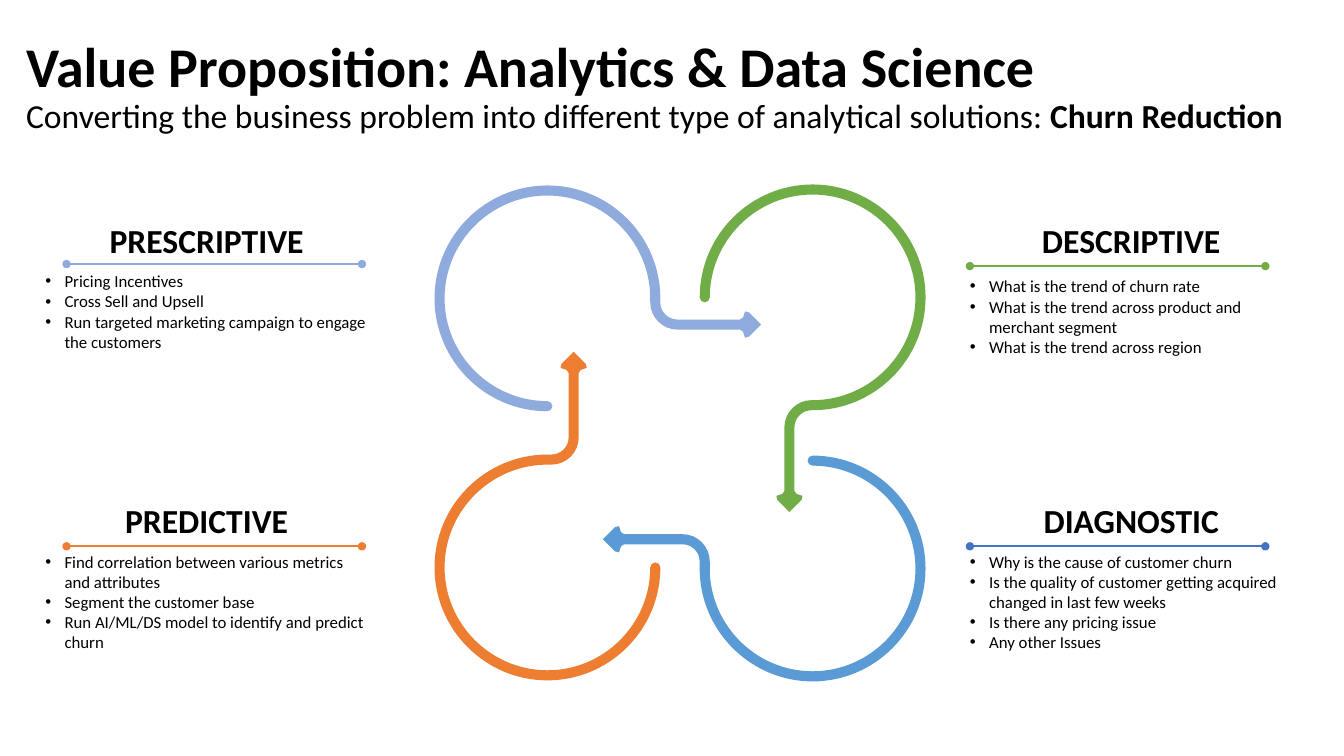
from itertools import chain, islice
from math import cos, sin, radians
from pptx import Presentation
from pptx.dml.color import RGBColor as Rgb
from pptx.enum.shapes import MSO_CONNECTOR as Link
from pptx.enum.text import MSO_ANCHOR as Anchor, PP_ALIGN as Align
from pptx.oxml.ns import qn
from pptx.util import Inches, Pt
from lxml.etree import SubElement as Sub

CELL = Inches(1)
COLS, ROWS = 13.33, 7.5
RING, HALF, BEND, PULL = 1.07, 0.05, 0.22, 0.55
HEAD = [(0.21, 0.05), (0.18, 0.07), (0.16, 0.13), (0.12, 0.12), (0.02, 0.02)]
PANELS = [
    ((0.45, 2.13, 3.2), 0.21, 0.49, 0.51, 3.2, "8FAADC", "PRESCRIPTIVE",
     ["Pricing Incentives", "Cross Sell and Upsell",
      "Run targeted marketing campaign to engage the customers"]),
    ((9.62, 2.13, 3.2), 0, 0.51, 0.56, 2.93, "70AD47", "DESCRIPTIVE",
     ["What is the trend of churn rate",
      "What is the trend across product and merchant segment",
      "What is the trend across region"]),
    ((0.45, 4.91, 3.2), 0.21, 0.51, 0.51, 3.2, "ED7D31", "PREDICTIVE",
     ["Find correlation between various metrics and attributes",
      "Segment the customer base",
      "Run AI/ML/DS model to identify and predict churn"]),
    ((9.62, 4.91, 3.2), 0, 0.51, 0.51, 3.07, "4472C4", "DIAGNOSTIC",
     ["Why is the cause of customer churn",
      "Is the quality of customer getting acquired changed in last few weeks",
      "Is there any pricing issue", "Any other Issues"]),
]
LOOPS = [
    ((8.06, 5.64), 2, 2.08, 0.29, "5B9BD5"),
    ((8.06, 2.95), 1, 2.13, 0.23, "70AD47"),
    ((5.43, 2.96), 0, 2.12, 0.26, "8FAADC"),
    ((5.43, 5.63), 3, 2.14, 0.26, "ED7D31"),
]


def color(code):
    """Turn a hex string into a colour."""
    return Rgb.from_string(code)


def grid(*vals):
    """Turn grid cells into slide lengths."""
    return [round(val * CELL) for val in vals]


def style(item, **vals):
    """Set each given value on an item."""
    for name, val in vals.items():
        setattr(item, name, val)


def write(para, text, size, bold=False):
    """Add one run of black text."""
    run = para.add_run()
    run.text = text
    style(run.font, name="Calibri", size=Pt(size), bold=bold)
    run.font.color.rgb = color("000000")


def frame(slide, box, side, anchor):
    """Add a wrapping text box and return its frame."""
    area = slide.shapes.add_textbox(*grid(*box)).text_frame
    style(area, word_wrap=True, vertical_anchor=anchor,
          margin_left=Inches(side), margin_right=Inches(side))
    return area


def title(slide, box):
    """Place the title with its subtitle line."""
    para = frame(slide, box, 0.1, Anchor.MIDDLE).paragraphs[0]
    para.line_spacing = 0.9
    write(para, "Value Proposition: Analytics & Data Science", 40, True)
    para.add_line_break()
    write(para, "Converting the business problem into different type of "
          "analytical solutions: ", 24)
    write(para, "Churn Reduction", 24, True)


def rule(slide, left, top, wide, code):
    """Draw a level line with a dot at both ends."""
    line = slide.shapes.add_connector(
        Link.STRAIGHT, *grid(left, top, left + wide, top))
    line.line.width = Pt(1.25)
    line.line.color.rgb = color(code)
    props = line._element.spPr
    for end in ("a:headEnd", "a:tailEnd"):
        Sub(props.find(qn("a:ln")), qn(end), type="oval")
    Sub(props, qn("a:effectLst"))


def panel(slide, box, inset, bar, drop, wide, code, name, items):
    """Place a heading, its rule and its bullets in a box."""
    left, top, span = box
    para = frame(slide, (left, top, span, 0.5), 0, Anchor.BOTTOM).paragraphs[0]
    para.alignment = Align.CENTER
    write(para, name, 24, True)
    area = frame(slide, (left, top + drop, wide, 0.1 + 0.2 * (len(items) + 1)),
                 0, Anchor.TOP)
    for num, item in enumerate(items):
        para = area.add_paragraph() if num else area.paragraphs[0]
        props = para._p.get_or_add_pPr()
        for key, val in {"marL": 0.19, "indent": -0.19}.items():
            props.set(key, str(Inches(val)))
        Sub(props, qn("a:buFont"), typeface="Arial")
        Sub(props, qn("a:buChar"), char="•")
        write(para, item, 12)
    rule(slide, left + inset, top + bar, 2.93, code)


def arc(mid, size, start, stop):
    """List an arc as its first point and one curve a quarter."""
    def spot(angle, pull=0):
        turn = radians(angle)
        return (mid[0] + size * (cos(turn) - pull * sin(turn)),
                mid[1] + size * (sin(turn) + pull * cos(turn)))

    sign = 1 if stop > start else -1
    return [[spot(start)]] + [
        [spot(a, sign * PULL), spot(a + 90 * sign, -sign * PULL),
         spot(a + 90 * sign)] for a in range(start, stop, 90 * sign)]


def outline(reach, drop):
    """List the parts of a ring arrow around the origin."""
    bend = (RING + BEND, drop - BEND)
    return [
        *arc((0, RING), HALF, -90, 90),
        *arc((0, 0), RING + HALF, 90, 360),
        *arc(bend, BEND - HALF, 180, 90),
        *[[(reach - x, drop - y)] for x, y in HEAD],
        [(reach, drop)],
        *[[(reach - x, drop + y)] for x, y in reversed(HEAD)],
        *arc(bend, BEND + HALF, 90, 180),
        *arc((0, 0), RING - HALF, 360, 90),
    ]


def loop(slide, mid, turn, reach, drop, code):
    """Draw a ring arrow around a centre, turned by quarters."""
    parts = outline(reach, drop)
    for _ in range(turn):
        parts = [[(-y, x) for x, y in part] for part in parts]
    spots = [grid(mid[0] + x, mid[1] + y) for x, y in chain(*parts)]
    pen = slide.shapes.build_freeform(*spots[0])
    pen.add_line_segments(spots[1:], close=True)
    shape = pen.convert_to_shape()
    lines = iter(list(shape._element.iter(qn("a:lnTo"))))
    for part in parts[1:]:
        nodes = list(islice(lines, len(part)))
        if len(nodes) == 3:
            nodes[0].tag = qn("a:cubicBezTo")
            for node in nodes[1:]:
                nodes[0].append(node[0])
                node.getparent().remove(node)
    shape.shadow.inherit = False
    shape.fill.solid()
    shape.fill.fore_color.rgb = color(code)
    shape.line.fill.background()


def main():
    """Build the slide and save it."""
    deck = Presentation()
    wide, high = grid(COLS, ROWS)
    style(deck, slide_width=wide, slide_height=high)
    slide = deck.slides.add_slide(deck.slide_layouts[6])
    title(slide, (0.16, 0.14, 12.79, 1.45))
    for part in LOOPS:
        loop(slide, *part)
    for part in PANELS:
        panel(slide, *part)
    deck.save("out.pptx")


if __name__ == "__main__":
    main()
